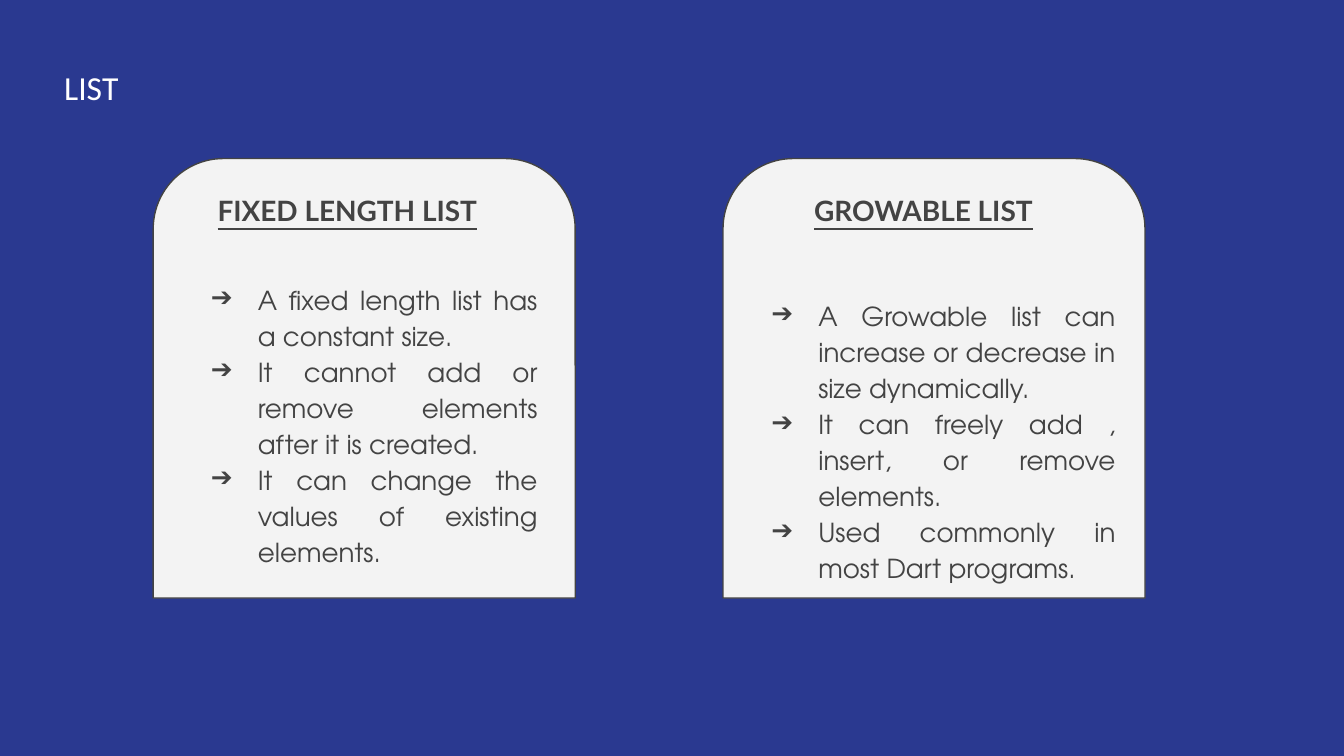
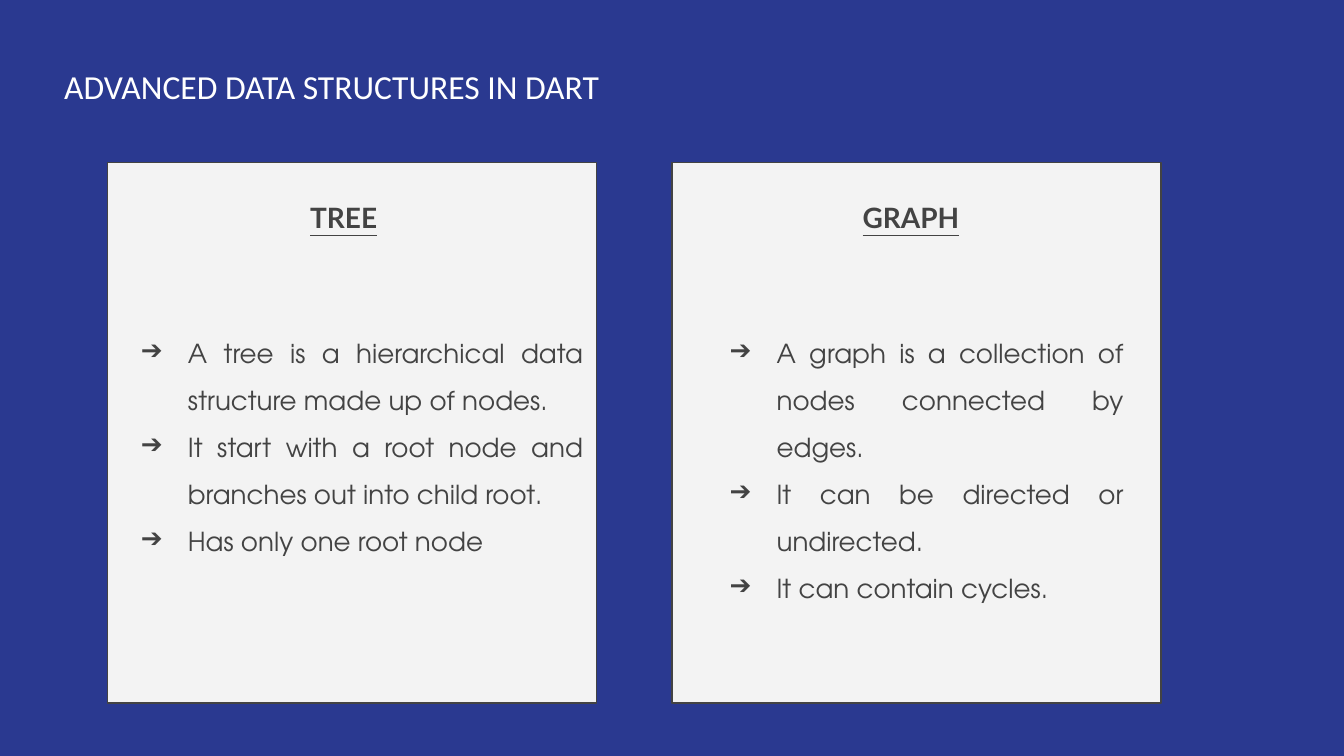
"""Build two slides that compare Dart data structures on paired cards."""
from dataclasses import dataclass

from lxml import etree
from pptx import Presentation
from pptx.dml.color import RGBColor
from pptx.enum.shapes import MSO_SHAPE
from pptx.enum.text import MSO_ANCHOR, MSO_AUTO_SIZE, PP_ALIGN
from pptx.oxml.ns import qn
from pptx.util import Inches, Pt

RECT = MSO_SHAPE.RECTANGLE
ARCH = MSO_SHAPE.ROUND_2_SAME_RECTANGLE
TOP = MSO_ANCHOR.TOP
GROW = MSO_AUTO_SIZE.SHAPE_TO_FIT_TEXT
LEFT = PP_ALIGN.LEFT
JUST = PP_ALIGN.JUSTIFY

BLUE = "2A3990"
WHITE = "FFFFFF"
PALE = "F3F3F3"
DARK = "434343"
ARROW = "➔"
INDENT = 0.5
HANG = -0.35


@dataclass(frozen=True)
class Box:
    """Place and size in inches."""
    left: float
    top: float
    width: float
    height: float


@dataclass(frozen=True)
class Style:
    """Look of a run and its paragraph."""
    font: str
    size: float
    color: str
    strong: bool = False
    align: PP_ALIGN = LEFT


@dataclass(frozen=True)
class Card:
    """One card with a heading and bullet points."""
    left: float
    head: str
    head_box: Box
    points: tuple[str, ...]
    list_box: Box


@dataclass(frozen=True)
class Page:
    """One slide: its title, card form and cards."""
    title: str
    title_box: Box
    form: MSO_SHAPE
    top: float
    width: float
    height: float
    spacing: float
    cards: tuple[Card, ...]


TITLE = Style("Calibri", 18, WHITE)
HEAD = Style("Lato", 15, DARK, strong=True)
BODY = Style("TeX Gyre Adventor", 14, DARK, align=JUST)

PAGES = (
    Page("LIST", Box(0.38, 0.4, 0.76, 0.5), ARCH, 1.18, 3.14, 3.27, 1.15, (
        Card(1.14, "FIXED LENGTH LIST", Box(1.52, 1.34, 2.38, 0.45), (
            "A fixed length list has a constant size.",
            "It cannot add or remove elements after it is created.",
            "It can change the values of existing elements.",
        ), Box(1.32, 1.98, 2.78, 2.33)),
        Card(5.38, "GROWABLE LIST", Box(5.96, 1.34, 2.17, 0.45), (
            "A Growable list can increase or decrease in size dynamically.",
            "It can freely add , insert, or remove elements.",
            "Used commonly in most Dart programs.",
        ), Box(5.49, 2.1, 2.91, 2.06)),
    )),
    Page("ADVANCED DATA STRUCTURES IN DART", Box(0.38, 0.39, 5, 0.5),
         RECT, 1.21, 3.64, 4.02, 1.5, (
        Card(0.8, "TREE", Box(2.21, 1.39, 0.81, 0.45), (
            "A tree is a hierarchical data structure made up of nodes.",
            "It start with a root node and branches out into child root.",
            "Has only one root node",
        ), Box(0.8, 2.29, 3.64, 1.85)),
        Card(5, "GRAPH", Box(6.32, 1.39, 1.01, 0.45), (
            "A graph is a collection of nodes connected by edges.",
            "It can be directed or undirected.",
            "It can contain cycles.",
        ), Box(5.18, 2.29, 3.28, 1.85)),
    )),
)


def paint(target, color: str) -> None:
    """Give a fill a solid colour."""
    target.solid()
    target.fore_color.rgb = RGBColor.from_string(color)


def place(box: Box) -> tuple:
    """Turn a box into lengths."""
    return (Inches(box.left), Inches(box.top),
            Inches(box.width), Inches(box.height))


def add_bullet(para, font: str) -> None:
    """Put a hanging arrow before a paragraph."""
    props = para._p.get_or_add_pPr()
    props.set("marL", str(Inches(INDENT)))
    props.set("indent", str(Inches(HANG)))
    tint = etree.SubElement(props, qn("a:buClr"))
    etree.SubElement(tint, qn("a:srgbClr"), val=DARK)
    etree.SubElement(props, qn("a:buFont"), typeface=font)
    etree.SubElement(props, qn("a:buChar"), char=ARROW)


def add_text(slide, box: Box, lines: tuple[str, ...], style: Style,
             spacing: float = 1.0, bullet: bool = False) -> None:
    """Add a text box with one paragraph a line."""
    frame = slide.shapes.add_textbox(*place(box)).text_frame
    frame.word_wrap = True
    frame.auto_size = GROW
    frame.vertical_anchor = TOP
    frame.margin_left = frame.margin_right = Inches(0.1)
    frame.margin_top = frame.margin_bottom = Inches(0.1)
    for index, line in enumerate(lines):
        para = frame.add_paragraph() if index else frame.paragraphs[0]
        para.alignment = style.align
        para.line_spacing = spacing
        if bullet:
            add_bullet(para, style.font)
        run = para.add_run()
        run.text = line
        font = run.font
        font.name = style.font
        font.size = Pt(style.size)
        font.bold = font.underline = style.strong
        paint(font.fill, style.color)


def add_card(slide, page: Page, card: Card) -> None:
    """Draw a card with its heading and points."""
    box = Box(card.left, page.top, page.width, page.height)
    shape = slide.shapes.add_shape(page.form, *place(box))
    shape.shadow.inherit = False
    paint(shape.fill, PALE)
    paint(shape.line.fill, DARK)
    shape.line.width = Pt(0.75)
    add_text(slide, card.head_box, (card.head,), HEAD)
    add_text(slide, card.list_box, card.points, BODY, page.spacing, True)


def add_page(deck, page: Page) -> None:
    """Add a slide with its title and cards."""
    slide = deck.slides.add_slide(deck.slide_layouts[6])
    paint(slide.background.fill, BLUE)
    add_text(slide, page.title_box, (page.title,), TITLE)
    for card in page.cards:
        add_card(slide, page, card)


def main() -> None:
    """Build and save the deck."""
    deck = Presentation()
    deck.slide_width = Inches(10)
    deck.slide_height = Inches(10 * 9 / 16)
    for page in PAGES:
        add_page(deck, page)
    deck.save("out.pptx")


if __name__ == "__main__":
    main()
